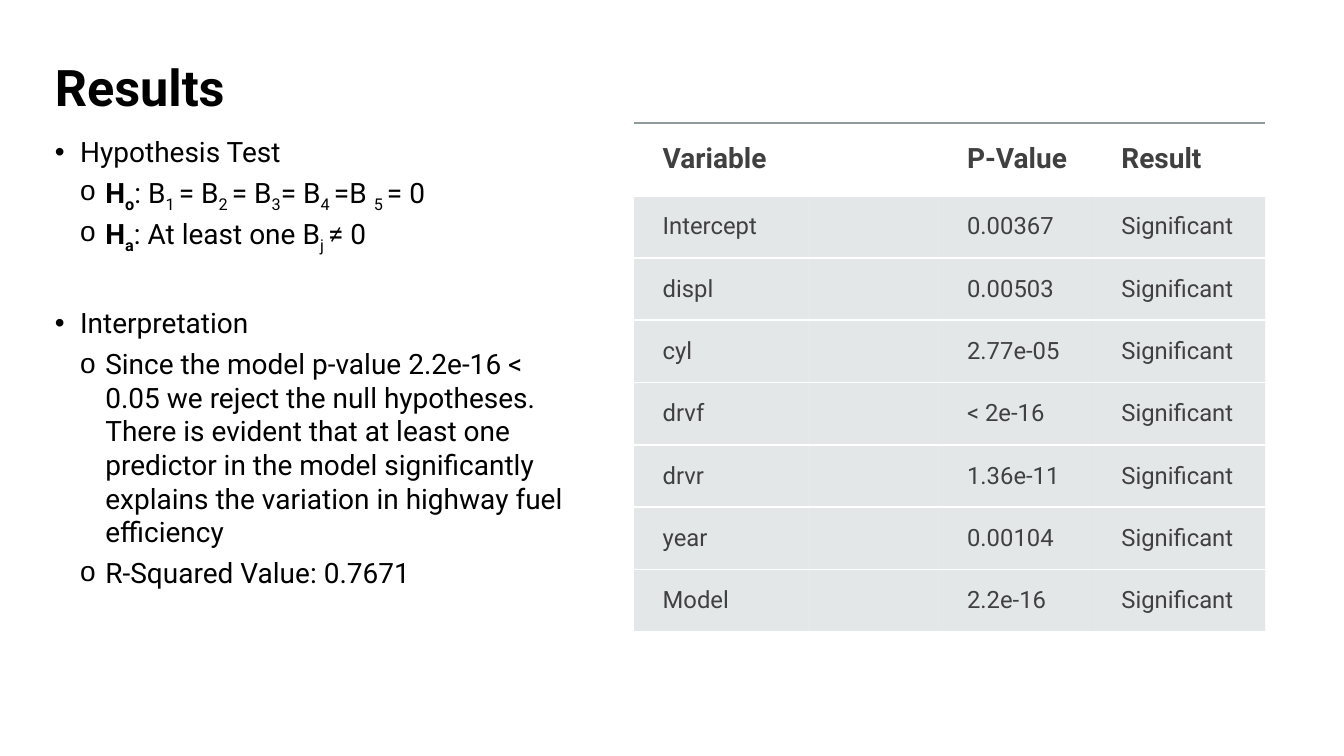
from dataclasses import dataclass
from typing import Any

import pptx
import pptx.dml.color
import pptx.enum.text
import pptx.oxml
import pptx.oxml.ns
import pptx.util
from pptx.util import Cm, Pt

FONT = "Roboto"
COLORS = {"text": "000000", "cell_text": "404040", "rule": "8F9A9D",
          "row": "B4BCBE", "gap": "FFFFFF"}
BULLETS = ["•", "o"]
INDENT = 0.635


@dataclass(frozen=True)
class Span:
    text: str
    subscript: bool = False
    bold: bool = False


@dataclass(frozen=True)
class Item:
    level: int
    spans: list[Span]
    before: float
    line_spacing: float = 0.9


@dataclass(frozen=True)
class RowStyle:
    height: float
    size: float
    bold: bool
    inset: float
    filled: bool
    top: tuple[str, int]


HEADER = RowStyle(1.83, 20, True, 0.43, False, (COLORS["rule"], 60))
BODY = RowStyle(1.57, 17, False, 0.38, True, (COLORS["gap"], 100))

ITEMS = [
    Item(0, [Span("Hypothesis Test")], 0),
    Item(1, [Span("H", bold=True), Span("o", True, True), Span(": B"),
             Span("1 ", True), Span("= B"), Span("2 ", True), Span("= B"),
             Span("3", True), Span("= B"), Span("4 ", True), Span("=B "),
             Span("5 ", True), Span("= 0")], 5),
    Item(1, [Span("H", bold=True), Span("a", True, True),
             Span(": At least one B"), Span("j ", True), Span("≠ 0")], 5),
    Item(0, [Span("Interpretation")], 41.5),
    Item(1, [Span("Since the model p-value 2.2e-16 < 0.05 we reject the null "
                  "hypotheses. There is evident that at least one predictor in "
                  "the model significantly explains the variation in highway "
                  "fuel efficiency")], 5, 1.0),
    Item(1, [Span("R-Squared Value: 0.7671")], 5, 1.0),
]

P_VALUES = {"Intercept": "0.00367", "displ": "0.00503", "cyl": "2.77e-05",
            "drvf": "< 2e-16", "drvr": "1.36e-11", "year": "0.00104",
            "Model": "2.2e-16"}
COLUMN_WIDTHS = [4.39, 3.28, 3.89, 4.34]


def make_element(tag: str, attributes: str = "", content: str = "") -> Any:
    namespace = pptx.oxml.ns.nsdecls("a")
    return pptx.oxml.parse_xml(
        f"<a:{tag} {namespace} {attributes}>{content}</a:{tag}>")


def set_font(font: Any, size: float, color: str, bold: bool | None = None) -> None:
    font.name = FONT
    font.size = Pt(size)
    font.bold = bold
    font.color.rgb = pptx.dml.color.RGBColor.from_string(color)


def place(box: Any, left: float, top: float, width: float, height: float) -> None:
    box.left, box.top, box.width, box.height = map(Cm, (left, top, width, height))
    box.text_frame.auto_size = pptx.enum.text.MSO_AUTO_SIZE.NONE
    box.text_frame.word_wrap = True


def add_title(box: Any) -> None:
    place(box, 1.13, 1.0, 12.83, 2.08)
    frame = box.text_frame
    frame.vertical_anchor = pptx.enum.text.MSO_ANCHOR.BOTTOM
    para = frame.paragraphs[0]
    para.text = "Results"
    para.alignment = pptx.enum.text.PP_ALIGN.LEFT
    para.line_spacing = 0.9
    set_font(para.font, 36, COLORS["text"], True)


def add_item(para: Any, item: Item) -> None:
    para.level = item.level
    para.line_spacing = item.line_spacing
    para.space_before = Pt(item.before)
    properties = para._p.get_or_add_pPr()
    properties.set("marL", str(Cm(INDENT * (item.level + 1))))
    properties.set("indent", str(-Cm(INDENT)))
    properties.append(make_element("buChar", f'char="{BULLETS[item.level]}"'))
    set_font(para.font, 20, COLORS["text"])
    for span in item.spans:
        run = para.add_run()
        run.text = span.text
        if span.bold:
            run.font.bold = True
        if span.subscript:
            run._r.get_or_add_rPr().set("baseline", "-25000")


def add_list(box: Any) -> None:
    place(box, 1.13, 3.36, 13.82, 12.32)
    frame = box.text_frame
    for index, item in enumerate(ITEMS):
        add_item(frame.add_paragraph() if index else frame.paragraphs[0], item)


def set_borders(cell: Any, top: tuple[str, int]) -> None:
    """Draw lines above and below the cell and none at its sides."""
    lines = {"lnL": None, "lnR": None, "lnT": top, "lnB": (COLORS["gap"], 100)}
    for index, (side, line) in enumerate(lines.items()):
        paint = "<a:noFill/>"
        if line:
            color, opacity = line
            paint = (f'<a:solidFill><a:srgbClr val="{color}">'
                     f'<a:alpha val="{opacity * 1000}"/></a:srgbClr></a:solidFill>')
        border = make_element(side, f'w="{Pt(1.5)}"', paint)
        cell._tc.get_or_add_tcPr().insert(index, border)


def format_cell(cell: Any, style: RowStyle) -> None:
    cell.vertical_anchor = pptx.enum.text.MSO_ANCHOR.MIDDLE
    cell.margin_left = Cm(0.72)
    cell.margin_right = cell.margin_top = cell.margin_bottom = Cm(style.inset)
    if style.filled:
        cell.fill.solid()
        cell.fill.fore_color.rgb = pptx.dml.color.RGBColor.from_string(COLORS["row"])
        color = cell._tc.tcPr.find(".//" + pptx.oxml.ns.qn("a:srgbClr"))
        color.append(make_element("alpha", 'val="35000"'))
    else:
        cell.fill.background()
    set_borders(cell, style.top)
    set_font(cell.text_frame.paragraphs[0].font, style.size,
             COLORS["cell_text"], style.bold)


def add_results_table(slide: Any) -> None:
    rows = [("Variable", "", "P-Value", "Result")]
    rows += [(name, "", value, "Significant") for name, value in P_VALUES.items()]
    styles = [HEADER] + [BODY] * len(P_VALUES)
    table = slide.shapes.add_table(
        len(rows), len(COLUMN_WIDTHS), Cm(15.98), Cm(3.1),
        Cm(sum(COLUMN_WIDTHS)), Cm(sum(style.height for style in styles))).table
    table.first_row = table.horz_banding = False
    for column, width in zip(table.columns, COLUMN_WIDTHS):
        column.width = Cm(width)
    for row, texts, style in zip(table.rows, rows, styles):
        row.height = Cm(style.height)
        for cell, text in zip(row.cells, texts):
            cell.text = text
            format_cell(cell, style)


def main() -> None:
    deck = pptx.Presentation()
    deck.slide_width, deck.slide_height = Cm(33.87), Cm(19.05)
    slide = deck.slides.add_slide(deck.slide_layouts[1])
    add_title(slide.shapes.title)
    add_list(slide.placeholders[1])
    add_results_table(slide)
    deck.save("out.pptx")


if __name__ == "__main__":
    main()
